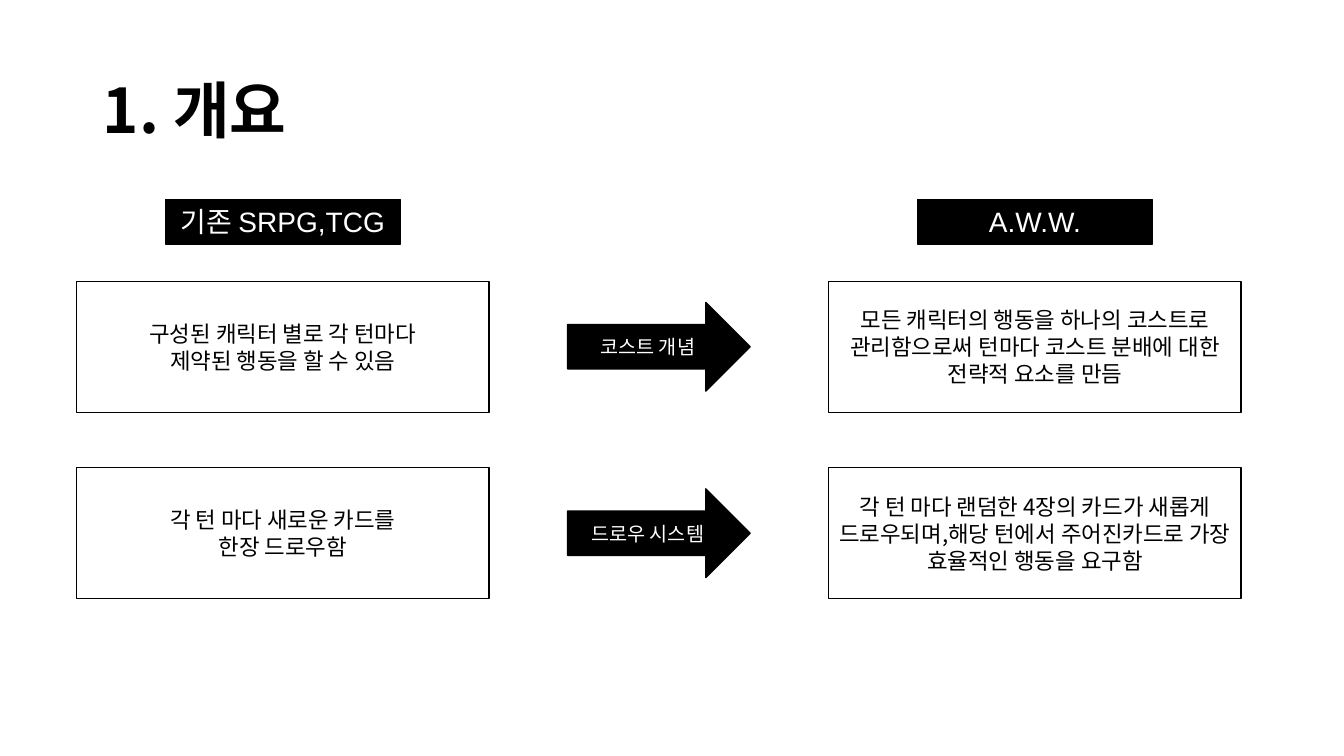
from pptx import Presentation
from pptx import util as u
from pptx.dml.color import RGBColor
from pptx.enum import shapes, text
from pptx.oxml.ns import qn
from lxml import etree

PX = 9144
KOREAN = "Noto Sans CJK KR"
BLACK, WHITE = "000000", "FFFFFF"
OLD_X, ARROW_X, NEW_X = 76, 563, 822
ROW_Y, ROW_STEP = 279, 185
CARD_W, CARD_H = 409, 130
ARROW_W, ARROW_H = 181, 88
LABEL_W, LABEL_H = 233, 44

HEADERS = [(OLD_X, "기존 SRPG,TCG"), (NEW_X, "A.W.W.")]
ROWS = [
    (["구성된 캐릭터 별로 각 턴마다", "제약된 행동을 할 수 있음"],
     "코스트 개념",
     ["모든 캐릭터의 행동을 하나의 코스트로 관리함으로써 턴마다 코스트 분배에 대한 전략적 요소를 만듬"]),
    (["각 턴 마다 새로운 카드를", "한장 드로우함"],
     "드로우 시스템",
     ["각 턴 마다 랜덤한 4장의 카드가 새롭게 드로우되며,해당 턴에서 주어진카드로 가장 효율적인 행동을 요구함"]),
]


def color(value):
    return RGBColor.from_string(value)


def box(x, y, w, h):
    return [u.Emu(v * PX) for v in (x, y, w, h)]


def write(sp, lines, size, ink, font=KOREAN, bold=False, align=text.PP_ALIGN.CENTER):
    tf = sp.text_frame
    tf.word_wrap = True
    tf.vertical_anchor = text.MSO_ANCHOR.MIDDLE
    tf.text = "\n".join(lines)
    for p in tf.paragraphs:
        p.alignment = align
        p.font.size = u.Pt(size)
        p.font.bold = bold
        p.font.color.rgb = color(ink)
        p.font.name = font
        latin = p._p.pPr.find(qn("a:defRPr")).find(qn("a:latin"))
        ea = etree.Element(qn("a:ea"), typeface=KOREAN)
        latin.addnext(ea)


def add_title(s, title):
    sp = s.shapes.add_textbox(*box(92, 40, 1150, 145))
    write(sp, [title], 44, BLACK, bold=True, align=text.PP_ALIGN.LEFT)
    sp.text_frame.paragraphs[0].line_spacing = 0.9


def add_block(s, kind, bounds, fill, lines, size, ink, font=KOREAN):
    sp = s.shapes.add_shape(kind, *box(*bounds))
    sp.shadow.inherit = False
    sp.fill.solid()
    sp.fill.fore_color.rgb = color(fill)
    sp.line.color.rgb = color(BLACK)
    sp.line.width = u.Pt(1)
    write(sp, lines, size, ink, font)


def add_header(s, card_x, label):
    x = card_x + (CARD_W - LABEL_W) // 2
    add_block(s, shapes.MSO_SHAPE.RECTANGLE, (x, 198, LABEL_W, LABEL_H),
              BLACK, [label], 20, WHITE, "Arial")


def add_card(s, x, y, lines):
    add_block(s, shapes.MSO_SHAPE.RECTANGLE, (x, y, CARD_W, CARD_H),
              WHITE, lines, 16, BLACK)


def add_arrow(s, y, label):
    arrow_y = y + (CARD_H - ARROW_H) // 2
    add_block(s, shapes.MSO_SHAPE.RIGHT_ARROW, (ARROW_X, arrow_y, ARROW_W, ARROW_H),
              BLACK, [label], 14, WHITE)


def main():
    prs = Presentation()
    prs.slide_width, prs.slide_height = u.Emu(1333 * PX), u.Emu(750 * PX)
    s = prs.slides.add_slide(prs.slide_layouts[6])
    add_title(s, "1. 개요")
    for x, label in HEADERS:
        add_header(s, x, label)
    for i, (old, change, new) in enumerate(ROWS):
        y = ROW_Y + i * ROW_STEP
        add_card(s, OLD_X, y, old)
        add_arrow(s, y, change)
        add_card(s, NEW_X, y, new)
    prs.save("out.pptx")


if __name__ == "__main__":
    main()
